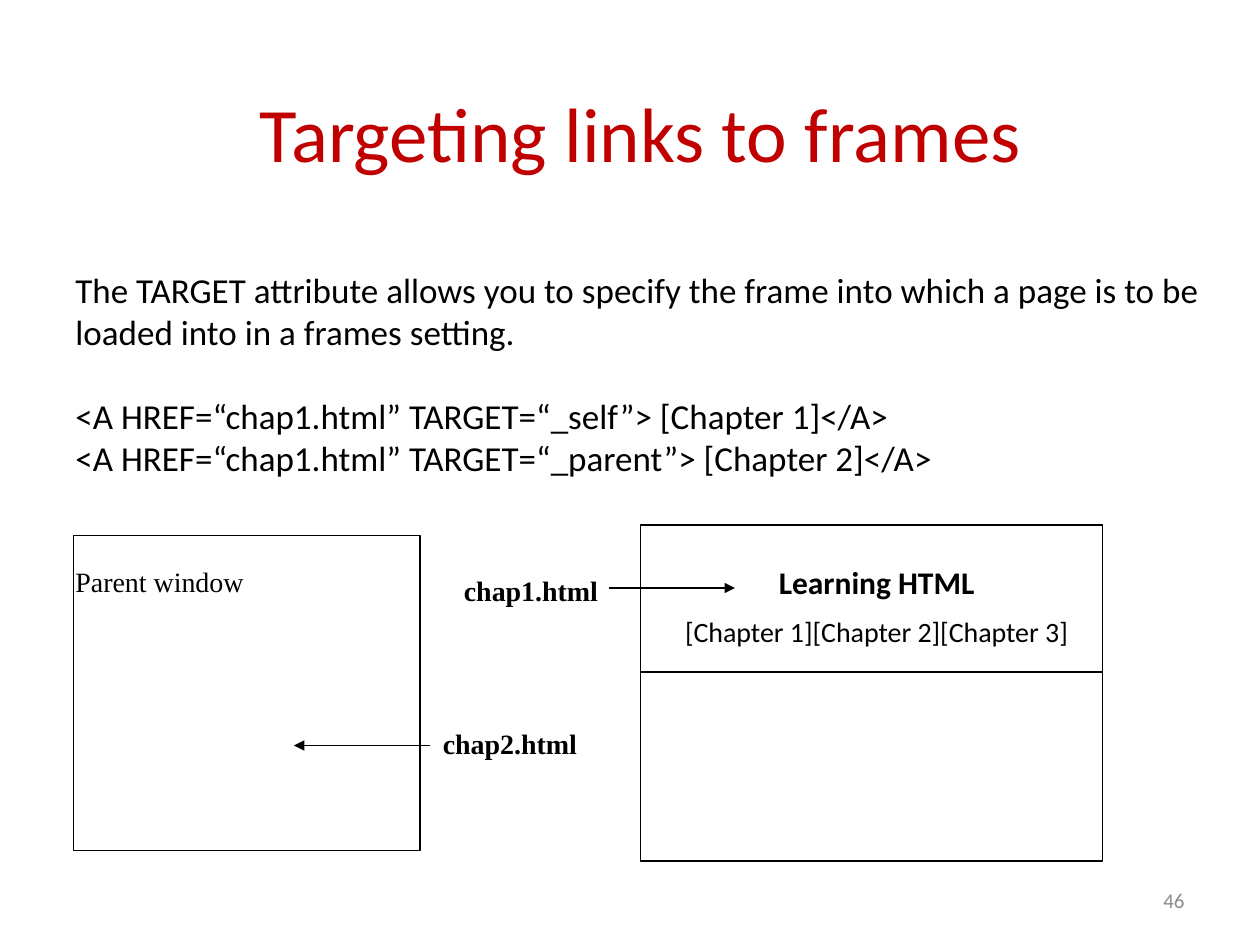
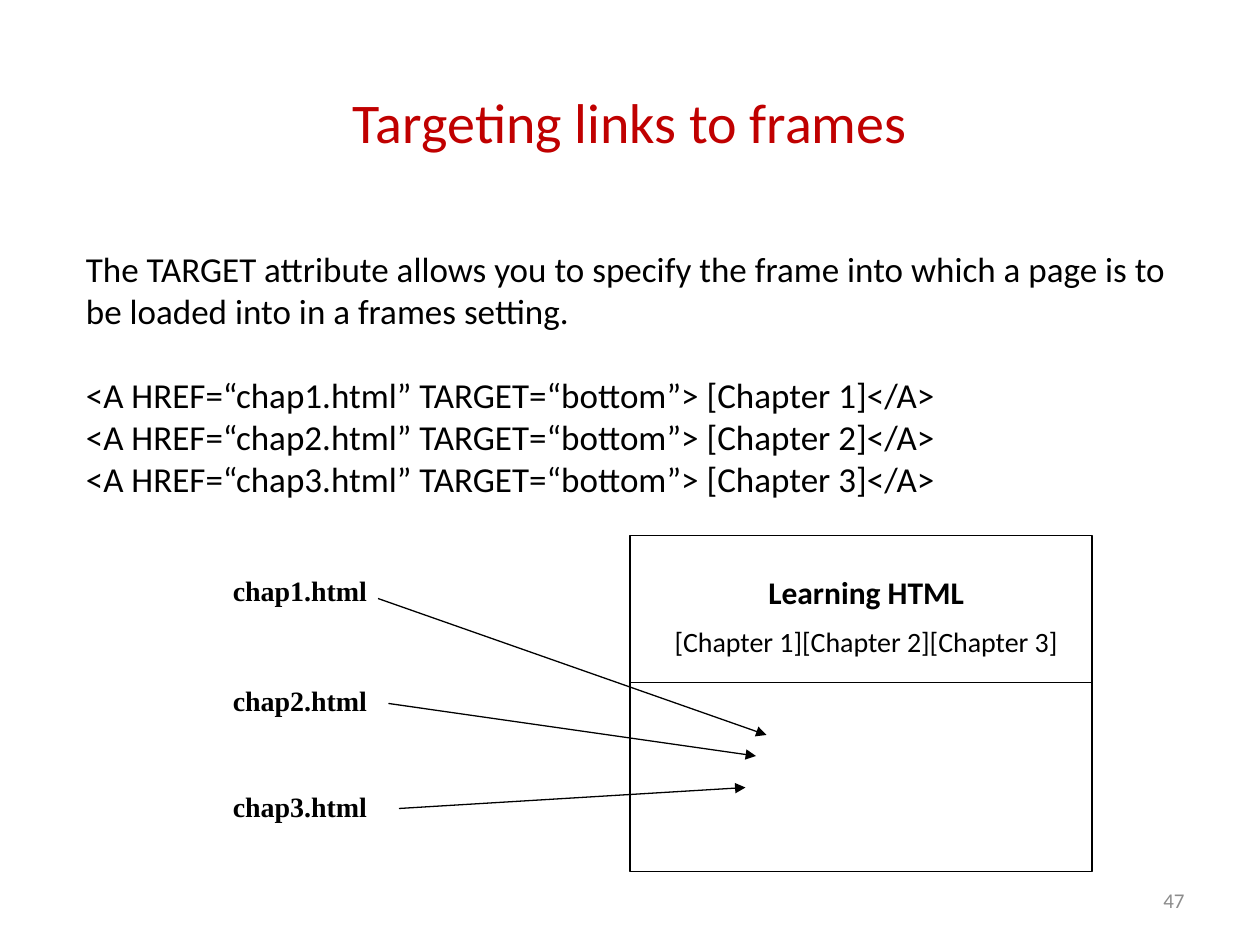
import dataclasses

import pptx
import pptx.dml.color
import pptx.enum.shapes
import pptx.enum.text
import pptx.oxml.ns
import pptx.util
from lxml import etree


@dataclasses.dataclass(frozen=True)
class Theme:
    red: str = "C00000"
    black: str = "000000"
    grey: str = "8C8C8C"
    sans: str = "Calibri"
    serif: str = "Times New Roman"
    body: int = 20
    head: int = 18
    label: int = 16
    foot: int = 12
    rule: float = 0.75


theme = Theme()
align = pptx.enum.text.PP_ALIGN
anchor = pptx.enum.text.MSO_ANCHOR
SCALE = 9525


def write(shape, text, size=theme.label, face=theme.sans, color=theme.black,
          bold=False, side=align.LEFT, gap=0, hold=anchor.TOP):
    frame = shape.text_frame
    frame.word_wrap = True
    frame.auto_size = pptx.enum.text.MSO_AUTO_SIZE.NONE
    frame.vertical_anchor = hold
    para = frame.add_paragraph() if frame.text else frame.paragraphs[0]
    para.alignment = side
    para.space_before = pptx.util.Pt(gap)
    run = para.add_run()
    run.text = text
    run.font.size = pptx.util.Pt(size)
    run.font.name = face
    run.font.bold = bold
    run.font.color.rgb = pptx.dml.color.RGBColor.from_string(color)


def draw(page, ends, tip=False):
    line = page.shapes.add_connector(
        pptx.enum.shapes.MSO_CONNECTOR.STRAIGHT, *[n * SCALE for n in ends])
    line.line.width = pptx.util.Pt(theme.rule)
    line.line.color.rgb = pptx.dml.color.RGBColor.from_string(theme.black)
    if tip:
        stroke = line.line._get_or_add_ln()
        etree.SubElement(stroke, pptx.oxml.ns.qn("a:tailEnd"), type="triangle", w="med", len="med")
    etree.SubElement(line._element.spPr, pptx.oxml.ns.qn("a:effectLst"))


intro = ("The TARGET attribute allows you to specify the frame into which "
         "a page is to be loaded into in a frames setting.")
pages = [
    dict(number="46", title=(80, 40, 816, 120), size=44, body=(48, 200, 880, 464),
         code=["<A HREF=“chap1.html” TARGET=“_self”> [Chapter 1]</A>",
               "<A HREF=“chap1.html” TARGET=“_parent”> [Chapter 2]</A>"],
         parent=(56, 408, 264, 240), frame=(488, 400),
         labels=[(344, 432), (328, 549)],
         arrows=[(464, 448, 560, 448), (328, 568, 224, 568)]),
    dict(number="47", title=(72, 32, 816, 120), size=32, body=(56, 184, 864, 496),
         code=[f"<A HREF=“chap{n}.html” TARGET=“bottom”> [Chapter {n}]</A>" for n in (1, 2, 3)],
         parent=None, frame=(480, 408),
         labels=[(168, 432), (168, 516), (168, 597)],
         arrows=[(288, 456, 584, 560), (296, 536, 576, 576), (304, 616, 568, 600)]),
]

deck = pptx.Presentation()
deck.slide_width = 960 * SCALE
deck.slide_height = 720 * SCALE

for plan in pages:
    page = deck.slides.add_slide(deck.slide_layouts[5])
    title = page.shapes.title
    title.left, title.top, title.width, title.height = [n * SCALE for n in plan["title"]]
    write(title, "Targeting links to frames", size=plan["size"], color=theme.red,
          side=align.CENTER, hold=anchor.MIDDLE)

    left, top = plan["frame"]
    spots = [(688, 667, 224, 38), plan["body"], (left + 8, top + 24, 344, 77)]
    spots += [(x, y, 136, 36) for x, y in plan["labels"]]
    number, body, menu, *labels = [
        page.shapes.add_textbox(*[n * SCALE for n in spot]) for spot in spots]

    write(number, plan["number"], size=theme.foot, color=theme.grey,
          side=align.RIGHT, hold=anchor.MIDDLE)
    write(body, intro, size=theme.body)
    for row, code in enumerate(plan["code"]):
        write(body, code, size=theme.body, gap=0 if row else 24)
    if plan["parent"]:
        write(body, "Parent window", face=theme.serif, gap=49)
    write(menu, "Learning HTML", size=theme.head, bold=True, side=align.CENTER)
    write(menu, "[Chapter 1][Chapter 2][Chapter 3]", side=align.CENTER, gap=8)
    for count, label in enumerate(labels, 1):
        write(label, f"chap{count}.html", face=theme.serif, bold=True)

    for spot in filter(None, [(left, top, 352, 256), plan["parent"]]):
        pane = page.shapes.add_shape(
            pptx.enum.shapes.MSO_SHAPE.RECTANGLE, *[n * SCALE for n in spot])
        pane.shadow.inherit = False
        pane.fill.background()
        pane.line.width = pptx.util.Pt(theme.rule)
        pane.line.color.rgb = pptx.dml.color.RGBColor.from_string(theme.black)

    draw(page, (left, top + 112, left + 352, top + 112))
    for ends in plan["arrows"]:
        draw(page, ends, tip=True)

deck.save("out.pptx")
